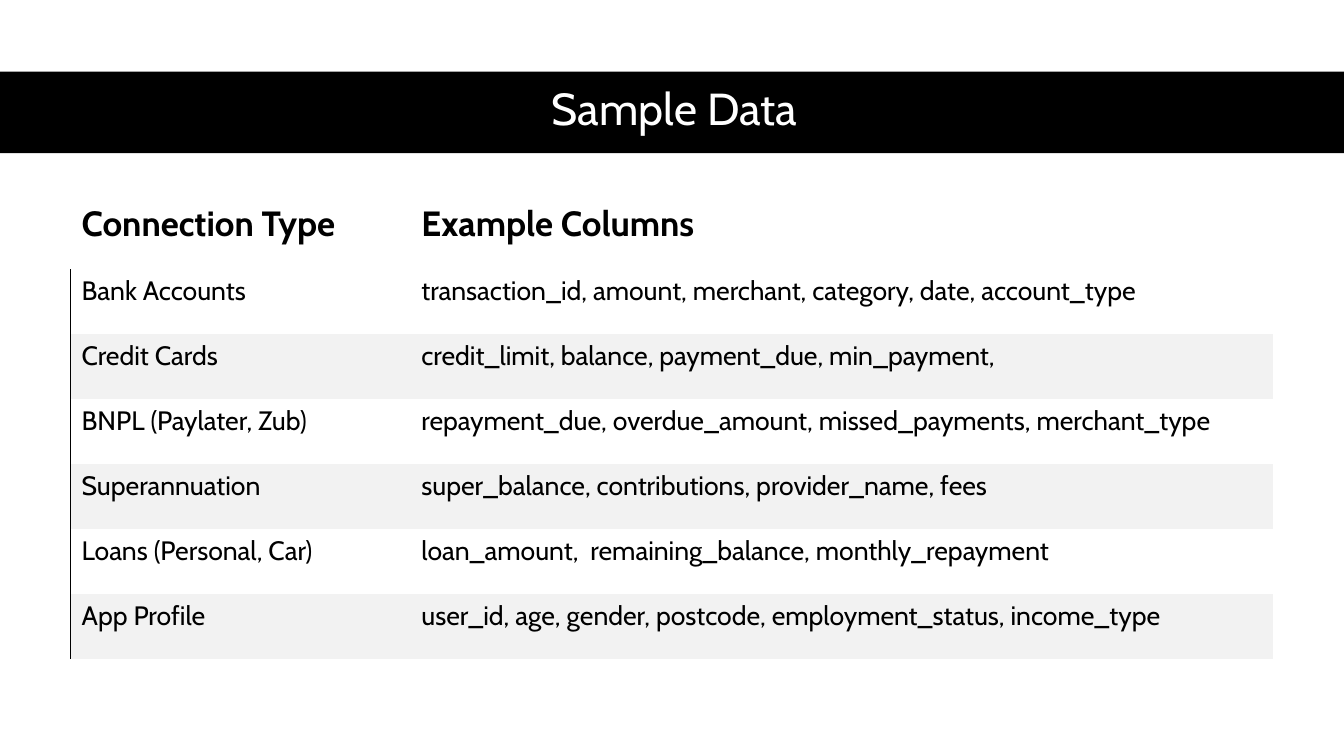
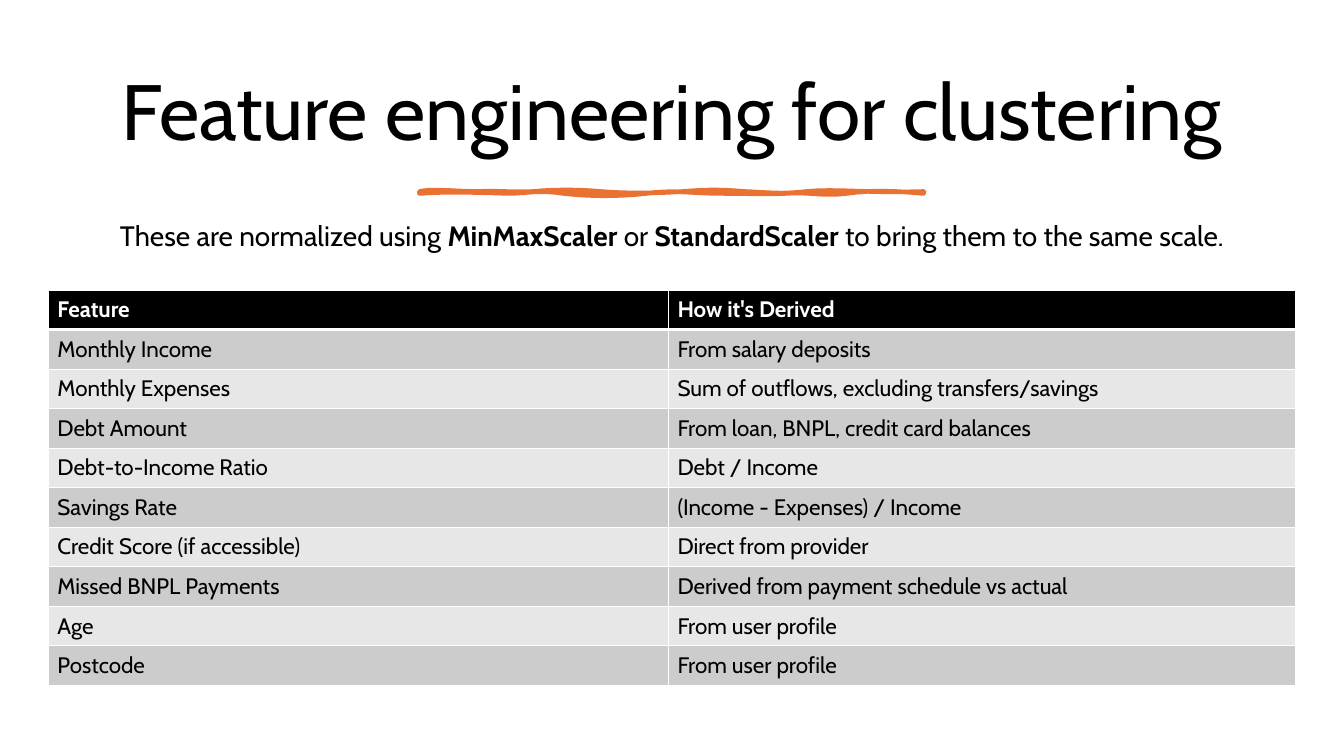
import lxml.etree
import pptx
import pptx.dml.color
import pptx.enum.shapes
import pptx.enum.text
import pptx.oxml.ns
import pptx.util

Inches = pptx.util.Inches
Pt = pptx.util.Pt
qn = pptx.oxml.ns.qn
ANCHOR = pptx.enum.text.MSO_ANCHOR

FONT = "Cabin"
COLOURS = {
    "ink": "000000",
    "paper": "FFFFFF",
    "accent": "E97132",
    "stripe": "F2F2F2",
    "row_dark": "CCCCCC",
    "row_light": "E7E7E7",
}
PLAIN_TABLE = "{2D5ABB26-0587-4C30-8999-92F81FD0307C}"

CONNECTIONS = [
    ("Connection Type", "Example Columns"),
    ("Bank Accounts", "transaction_id, amount, merchant, category, date, account_type"),
    ("Credit Cards", "credit_limit, balance, payment_due, min_payment,"),
    ("BNPL (Paylater, Zub)", "repayment_due, overdue_amount, missed_payments, merchant_type"),
    ("Superannuation", "super_balance, contributions, provider_name, fees"),
    ("Loans (Personal, Car)", "loan_amount,  remaining_balance, monthly_repayment"),
    ("App Profile", "user_id, age, gender, postcode, employment_status, income_type"),
]
FEATURES = [
    ("Feature", "How it's Derived"),
    ("Monthly Income", "From salary deposits"),
    ("Monthly Expenses", "Sum of outflows, excluding transfers/savings"),
    ("Debt Amount", "From loan, BNPL, credit card balances"),
    ("Debt-to-Income Ratio", "Debt / Income"),
    ("Savings Rate", "(Income - Expenses) / Income"),
    ("Credit Score (if accessible)", "Direct from provider"),
    ("Missed BNPL Payments", "Derived from payment schedule vs actual"),
    ("Age", "From user profile"),
    ("Postcode", "From user profile"),
]
SCALING_NOTE = [
    ("These are normalized using ", False),
    ("MinMaxScaler", True),
    (" or ", False),
    ("StandardScaler", True),
    (" to bring them to the same scale.", False),
]
BRUSH_START = (0, 0.03)
BRUSH_CURVES = [
    ((0.12, 0), (0.38, 0.03), (0.57, 0.03)),
    ((0.76, 0.02), (0.93, 0.04), (1.13, 0.03)),
    ((1.33, 0.01), (1.58, 0.01), (1.8, 0.03)),
    ((2.01, 0.05), (2.37, 0.05), (2.61, 0.03)),
    ((2.86, 0.01), (2.98, 0.01), (3.23, 0.03)),
    ((3.47, 0.04), (3.58, 0.06), (3.84, 0.03)),
    ((4.1, 0), (4.51, 0.05), (5, 0.03)),
    ((5.01, 0.04), (5, 0.04), (5, 0.05)),
    ((4.79, 0.03), (4.49, 0.01), (4.24, 0.05)),
    ((3.99, 0.08), (3.85, 0.03), (3.63, 0.05)),
    ((3.4, 0.06), (3.31, 0.05), (3.01, 0.05)),
    ((2.71, 0.05), (2.51, 0.01), (2.25, 0.05)),
    ((1.98, 0.08), (1.69, 0.08), (1.43, 0.05)),
    ((1.18, 0.01), (1.07, 0.05), (0.87, 0.05)),
    ((0.67, 0.04), (0.22, 0.03), (0, 0.05)),
]


def rgb(name):
    return pptx.dml.color.RGBColor.from_string(COLOURS[name])


def add_run(paragraph, words, size, colour, bold=False):
    run = paragraph.add_run()
    run.text = words
    run.font.name = FONT
    run.font.size = Pt(size)
    run.font.bold = bold
    run.font.color.rgb = rgb(colour)


def centred_line(frame, runs, size, colour):
    frame.word_wrap = True
    frame.auto_size = pptx.enum.text.MSO_AUTO_SIZE.NONE
    frame.vertical_anchor = ANCHOR.MIDDLE
    paragraph = frame.paragraphs[0]
    paragraph.alignment = pptx.enum.text.PP_ALIGN.CENTER
    paragraph.line_spacing = 0.9
    for words, bold in runs:
        add_run(paragraph, words, size, colour, bold)


def place_title(slide, box, words, size, colour):
    title = slide.shapes.title
    title.left, title.top, title.width, title.height = map(Inches, box)
    centred_line(title.text_frame, [(words, False)], size, colour)


def add_title_band(slide, box):
    band = slide.shapes.add_shape(
        pptx.enum.shapes.MSO_SHAPE.RECTANGLE, *map(Inches, box))
    band.shadow.inherit = False
    band.fill.solid()
    band.fill.fore_color.rgb = rgb("ink")
    band.line.fill.background()
    slide.shapes.title.element.addprevious(band.element)


def add_note(slide, box, runs):
    note = slide.shapes.add_textbox(*map(Inches, box))
    centred_line(note.text_frame, runs, 20, "ink")


def curve_points(start, curves, steps=8):
    for first, second, end in curves:
        for step in range(1, steps + 1):
            t = step / steps
            u = 1 - t
            yield tuple(
                u ** 3 * a + 3 * u * u * t * b + 3 * u * t * t * c + t ** 3 * d
                for a, b, c, d in zip(start, first, second, end))
        start = end


def add_brush_stroke(slide, left, top):
    def place(point):
        return Inches(left + point[0]), Inches(top + point[1])

    builder = slide.shapes.build_freeform(*place(BRUSH_START))
    builder.add_line_segments(
        [place(point) for point in curve_points(BRUSH_START, BRUSH_CURVES)])
    stroke = builder.convert_to_shape()
    stroke.shadow.inherit = False
    stroke.fill.solid()
    stroke.fill.fore_color.rgb = rgb("accent")
    stroke.line.color.rgb = rgb("accent")
    stroke.line.width = Pt(3.25)


def set_borders(cell, borders):
    properties = cell._tc.get_or_add_tcPr()
    for side in "LRTB":
        if side in borders:
            colour, width = borders[side]
            line = lxml.etree.SubElement(
                properties, qn(f"a:ln{side}"), w=str(Pt(width)))
            fill = lxml.etree.SubElement(line, qn("a:solidFill"))
            lxml.etree.SubElement(fill, qn("a:srgbClr"), val=COLOURS[colour])


def add_grid(slide, box, widths, header_height, rows, insets, style_row):
    frame = slide.shapes.add_table(len(rows), len(widths), *map(Inches, box))
    grid = frame.table
    frame.element.find(".//" + qn("a:tableStyleId")).text = PLAIN_TABLE
    for column, width in zip(grid.columns, widths):
        column.width = Inches(width)
    body_height = (box[3] - header_height) / (len(rows) - 1)
    for r, entries in enumerate(rows):
        grid.rows[r].height = Inches(body_height if r else header_height)
        style = style_row(r)
        for c, words in enumerate(entries):
            cell = grid.cell(r, c)
            (cell.margin_left, cell.margin_top,
             cell.margin_right, cell.margin_bottom) = map(Inches, insets)
            cell.vertical_anchor = style["anchor"]
            set_borders(cell, style["borders"][c])
            if style["fill"]:
                cell.fill.solid()
                cell.fill.fore_color.rgb = rgb(style["fill"])
            else:
                cell.fill.background()
            add_run(cell.text_frame.paragraphs[0], words,
                    style["size"], style["colour"], bold=r == 0)


def connection_row(r):
    return {
        "anchor": ANCHOR.MIDDLE if r else ANCHOR.BOTTOM,
        "borders": [{"L": ("ink", 0.75)} if r else {}, {}],
        "fill": "stripe" if r and r % 2 == 0 else None,
        "size": 19 if r else 25,
        "colour": "ink",
    }


def feature_row(r):
    edges = {side: ("paper", 1) for side in "LRTB"}
    if r == 0:
        edges["B"] = ("paper", 3)
    elif r == 1:
        edges["T"] = ("paper", 3)
    return {
        "anchor": ANCHOR.MIDDLE,
        "borders": [edges, edges],
        "fill": ("row_dark" if r % 2 else "row_light") if r else "ink",
        "size": 16,
        "colour": "ink" if r else "paper",
    }


def build_sample_data(slide):
    add_title_band(slide, (0, 0.71, 13.33, 0.81))
    place_title(slide, (0.61, 0.7, 12.26, 0.81), "Sample Data ", 32, "paper")
    add_grid(slide, (0.7, 1.92, 11.93, 4.62), (3.37, 8.56), 0.75,
             CONNECTIONS, (0.11, 0.03, 0.21, 0.24), connection_row)


def build_feature_engineering(slide):
    place_title(slide, (0.7, 0.46, 11.93, 1.37),
                "Feature engineering for clustering", 56, "ink")
    add_note(slide, (0.7, 1.98, 11.93, 0.75), SCALING_NOTE)
    add_brush_stroke(slide, 4.16, 1.87)
    add_grid(slide, (0.48, 2.88, 12.37, 3.92), (6.15, 6.22), 0.39,
             FEATURES, (0.09, 0.04, 0.09, 0.04), feature_row)


def main():
    deck = pptx.Presentation()
    deck.slide_width = Inches(13.33)
    deck.slide_height = Inches(7.5)
    title_only = deck.slide_layouts[5]
    for build in (build_sample_data, build_feature_engineering):
        build(deck.slides.add_slide(title_only))
    deck.save("out.pptx")


if __name__ == "__main__":
    main()
